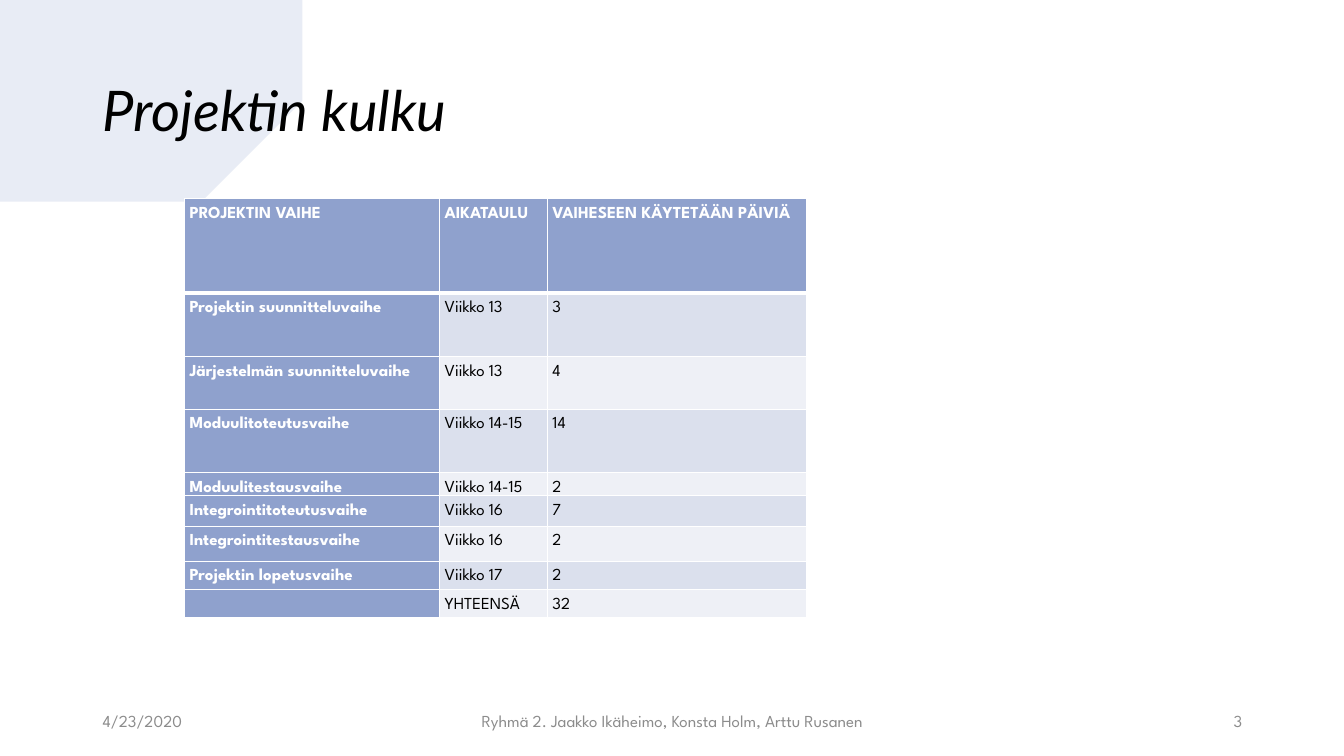
from dataclasses import dataclass
from typing import Any

from lxml.etree import SubElement
from pptx import Presentation
from pptx.dml.color import RGBColor
from pptx.enum.text import MSO_ANCHOR as Anchor, PP_ALIGN as Align
from pptx.oxml.ns import qn
from pptx.util import Inches, Pt

BODY_FONT = "League Spartan"
BLUE, WHITE, BLACK, GREY = "8FA1CD", "FFFFFF", "000000", "8C8C8C"
BAND_FILLS = ("DBE0ED", "EEF0F6")
COLUMN_WIDTHS = (2.53, 1.07, 2.57)
FOOTER_TOP, FOOTER_HEIGHT = 6.95, 0.4

# Outline of the brush stroke, clockwise from the top left, in inches.
BRUSH_OUTLINE = [
    (0, 0.34), (0.25, 0.37), (1.94, 0.41), (2.65, 0.41), (2.8, 0.47),
    (2.53, 0.57), (2.62, 0.62), (2.38, 0.66), (2.75, 0.74), (2.51, 0.75),
    (2.9, 0.85), (2.63, 0.88), (3.3, 0.94), (3.18, 1.06), (2.83, 1.16),
    (2.74, 1.28), (3.08, 1.28), (2.69, 1.38), (2.52, 1.48), (2.63, 1.48),
    (1.97, 1.72), (1.02, 1.88), (0.65, 1.91), (0, 1.88),
]


@dataclass(frozen=True)
class Label:
    text: str
    left: float
    width: float
    top: float = FOOTER_TOP
    height: float = FOOTER_HEIGHT
    align: Align = Align.LEFT
    size: int = 12
    font: str = BODY_FONT
    color: str = GREY
    italic: bool = False
    line_spacing: float = 1.0


@dataclass(frozen=True)
class Row:
    height: float
    phase: str
    schedule: str
    days: str


LABELS = [
    Label("Projektin kulku", 0.92, 11.5, top=0.4, height=1.45, size=40, font="Lato",
          color=BLACK, italic=True, line_spacing=0.9),
    Label("4/23/2020", 0.92, 3),
    Label("Ryhmä 2. Jaakko Ikäheimo, Konsta Holm, Arttu Rusanen", 4.42, 4.5,
          align=Align.CENTER),
    Label("3", 9.42, 3, align=Align.RIGHT),
]
ROWS = [
    Row(0.94, "PROJEKTIN VAIHE", "AIKATAULU", "VAIHESEEN KÄYTETÄÄN PÄIVIÄ"),
    Row(0.63, "Projektin suunnitteluvaihe", "Viikko 13", "3"),
    Row(0.52, "Järjestelmän suunnitteluvaihe", "Viikko 13", "4"),
    Row(0.63, "Moduulitoteutusvaihe", "Viikko 14-15", "14"),
    Row(0.23, "Moduulitestausvaihe", "Viikko 14-15", "2"),
    Row(0.3, "Integrointitoteutusvaihe", "Viikko 16", "7"),
    Row(0.35, "Integrointitestausvaihe", "Viikko 16", "2"),
    Row(0.28, "Projektin lopetusvaihe", "Viikko 17", "2"),
    Row(0.22, "", "YHTEENSÄ", "32"),
]


def rgb(color: str) -> RGBColor:
    return RGBColor.from_string(color)


def apply_format(target: Any, values: dict[str, Any]) -> None:
    for name, value in values.items():
        setattr(target, name, value)


def add_run(paragraph: Any, text: str, color: str, values: dict[str, Any]) -> None:
    run = paragraph.add_run()
    run.text = text
    apply_format(run.font, values)
    run.font.color.rgb = rgb(color)


def add_brush_stroke(slide: Any) -> None:
    first, *others = BRUSH_OUTLINE
    builder = slide.shapes.build_freeform(*first, scale=Inches(1))
    builder.add_line_segments(others, close=True)
    shape = builder.convert_to_shape()
    shape.shadow.inherit = False
    shape.line.fill.background()
    shape.fill.solid()
    shape.fill.fore_color.rgb = rgb(BLUE)
    color = shape.element.spPr.find(f"{qn('a:solidFill')}/{qn('a:srgbClr')}")
    SubElement(color, qn("a:alpha"), val="20000")


def add_label(slide: Any, label: Label) -> None:
    box = slide.shapes.add_textbox(*map(Inches, (label.left, label.top, label.width, label.height)))
    apply_format(box.text_frame, {"word_wrap": True, "vertical_anchor": Anchor.MIDDLE})
    paragraph = box.text_frame.paragraphs[0]
    apply_format(paragraph, {"alignment": label.align, "line_spacing": label.line_spacing})
    add_run(paragraph, label.text, label.color,
            {"name": label.font, "size": Pt(label.size), "italic": label.italic})


def add_borders(cell: Any, row_index: int) -> None:
    """White edges, thicker between the header and the first phase."""
    properties = cell._tc.get_or_add_tcPr()
    widths = {"L": 1, "R": 1, "T": 3 if row_index == 1 else 1, "B": 3 if row_index == 0 else 1}
    for side, width in widths.items():
        line = SubElement(properties, qn(f"a:ln{side}"), w=str(Pt(width)))
        SubElement(SubElement(line, qn("a:solidFill")), qn("a:srgbClr"), val=WHITE)


def fill_cell(cell: Any, text: str, row_index: int, column_index: int) -> None:
    heading = row_index == 0 or column_index == 0
    add_borders(cell, row_index)
    cell.fill.solid()
    cell.fill.fore_color.rgb = rgb(BLUE if heading else BAND_FILLS[(row_index - 1) % 2])
    apply_format(cell, {"margin_left": Inches(0.05), "margin_right": Inches(0.05),
                        "margin_top": 0, "margin_bottom": 0})
    paragraph = cell.text_frame.paragraphs[0]
    apply_format(paragraph, {"alignment": Align.JUSTIFY, "line_spacing": 1.5,
                             "space_after": Pt(12)})
    add_run(paragraph, text, WHITE if heading else BLACK,
            {"name": BODY_FONT, "size": Pt(12), "bold": heading})


def add_schedule_table(slide: Any) -> None:
    size = (sum(COLUMN_WIDTHS), sum(row.height for row in ROWS))
    table = slide.shapes.add_table(len(ROWS), len(COLUMN_WIDTHS),
                                   *map(Inches, (1.83, 1.97, *size))).table
    apply_format(table, {"first_row": False, "horz_banding": False})
    for column, width in zip(table.columns, COLUMN_WIDTHS):
        column.width = Inches(width)
    for row_index, row in enumerate(ROWS):
        table.rows[row_index].height = Inches(row.height)
        for column_index, text in enumerate((row.phase, row.schedule, row.days)):
            fill_cell(table.cell(row_index, column_index), text, row_index, column_index)


def main() -> None:
    presentation = Presentation()
    apply_format(presentation, {"slide_width": Inches(13.33), "slide_height": Inches(7.5)})
    slide = presentation.slides.add_slide(presentation.slide_layouts[6])
    add_brush_stroke(slide)
    add_schedule_table(slide)
    for label in LABELS:
        add_label(slide, label)
    presentation.save("out.pptx")


if __name__ == "__main__":
    main()
